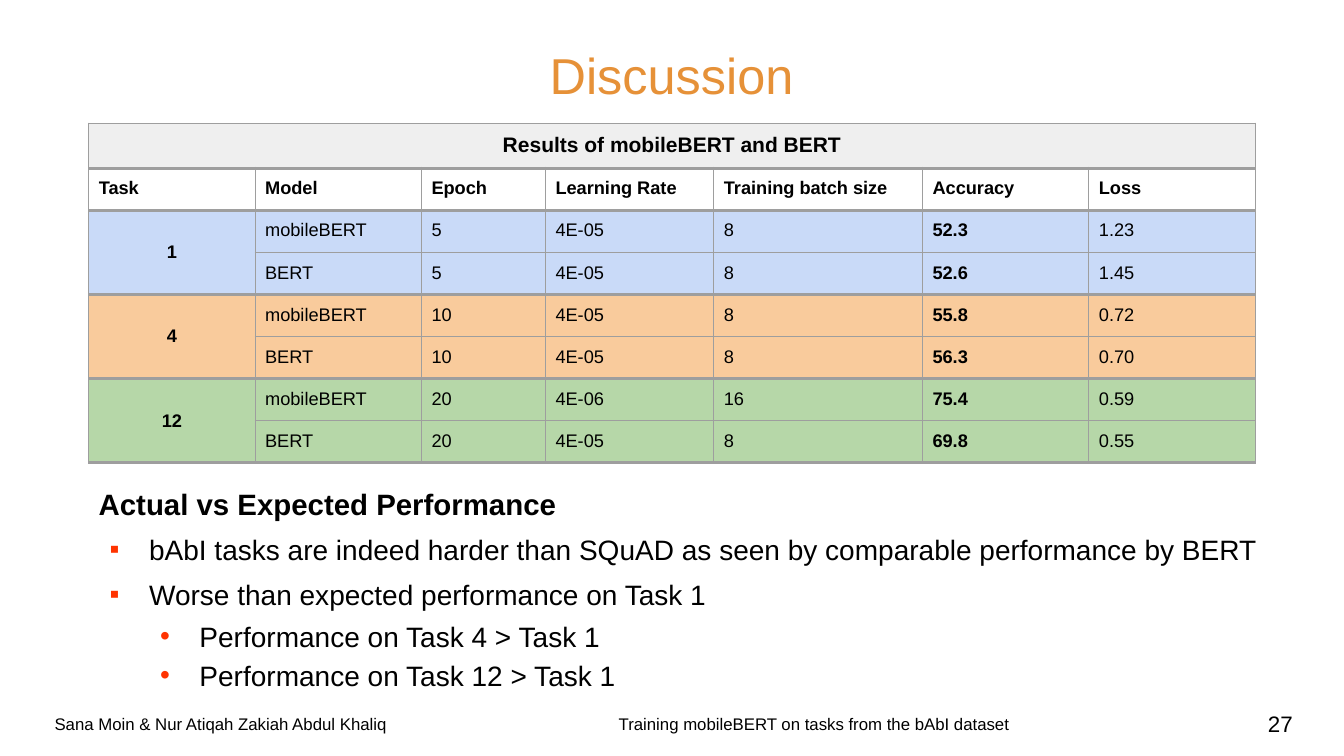
from lxml import etree
from pptx import Presentation
from pptx.dml.color import RGBColor
from pptx.enum.text import MSO_ANCHOR, MSO_AUTO_SIZE, PP_ALIGN
from pptx.oxml.ns import qn
from pptx.util import Inches, Pt

LEFT, CENTER, RIGHT = PP_ALIGN.LEFT, PP_ALIGN.CENTER, PP_ALIGN.RIGHT
TOP, MIDDLE, BOTTOM = MSO_ANCHOR.TOP, MSO_ANCHOR.MIDDLE, MSO_ANCHOR.BOTTOM
GROW = MSO_AUTO_SIZE.SHAPE_TO_FIT_TEXT

COL_WIDTHS = [1.65, 1.65, 1.23, 1.67, 2.07, 1.65, 1.65]
ROW_HEIGHTS = [0.43] + [0.4] * 7
# Widths of the horizontal rules, from above the first row to below the last
RULES = [0.75, 3, 3, 0.75, 2.25, 0.75, 2.25, 0.75, 2.25]
HEADERS = ["Task", "Model", "Epoch", "Learning Rate", "Training batch size", "Accuracy", "Loss"]
TASKS = [
    ("1", "C9DAF8", [["mobileBERT", "5", "4E-05", "8", "52.3", "1.23"],
                     ["BERT", "5", "4E-05", "8", "52.6", "1.45"]]),
    ("4", "F9CB9C", [["mobileBERT", "10", "4E-05", "8", "55.8", "0.72"],
                     ["BERT", "10", "4E-05", "8", "56.3", "0.70"]]),
    ("12", "B6D7A8", [["mobileBERT", "20", "4E-06", "16", "75.4", "0.59"],
                      ["BERT", "20", "4E-05", "8", "69.8", "0.55"]]),
]
ACCURACY = HEADERS.index("Accuracy")


def color(value):
    return RGBColor.from_string(value)


def add_text(p, text, size=13, bold=False, fill="000000", align=LEFT, font="Arial"):
    p.alignment = align
    r = p.add_run()
    r.text = text
    r.font.name, r.font.size, r.font.bold = font, Pt(size), bold
    r.font.color.rgb = color(fill)


class SlideBuilder:
    border = "9E9E9E"
    bullet_color = "FF3300"

    def __init__(self, s):
        self.s = s

    def frame(self, x, y, w, h, anchor=MIDDLE, inset=0.05):
        tb = self.s.shapes.add_textbox(Inches(x), Inches(y), Inches(w), Inches(h))
        tf = tb.text_frame
        tf.word_wrap = True
        tf.vertical_anchor = anchor
        tf.margin_left = tf.margin_right = Inches(0.1)
        tf.margin_top = tf.margin_bottom = Inches(inset)
        return tf

    def label(self, text, *box, anchor=MIDDLE, **fmt):
        add_text(self.frame(*box, anchor=anchor).paragraphs[0], text, **fmt)

    def bullet(self, p, char, level):
        p.level = level
        pPr = p._p.get_or_add_pPr()
        pPr.set("marL", str(Inches(0.5 * (level + 1))))
        pPr.set("indent", str(Inches(-0.39)))
        clr = etree.SubElement(pPr, qn("a:buClr"))
        etree.SubElement(clr, qn("a:srgbClr"), val=self.bullet_color)
        etree.SubElement(pPr, qn("a:buFont"), typeface="Arial")
        etree.SubElement(pPr, qn("a:buChar"), char=char)

    def outline(self, heading, items, *box):
        tf = self.frame(*box, anchor=TOP, inset=0.1)
        tf.auto_size = GROW
        p = tf.paragraphs[0]
        p.space_before = Pt(8)
        add_text(p, heading, size=21, bold=True)
        for text, char, level, before in items:
            p = tf.add_paragraph()
            p.space_before = Pt(before)
            self.bullet(p, char, level)
            add_text(p, text, size=20)

    def table(self, x, y, widths, heights):
        shape = self.s.shapes.add_table(len(heights), len(widths), Inches(x), Inches(y),
                                        Inches(sum(widths)), Inches(sum(heights)))
        table = shape.table
        table.first_row = table.horz_banding = False
        for col, width in zip(table.columns, widths):
            col.width = Inches(width)
        for row, height in zip(table.rows, heights):
            row.height = Inches(height)
        return table

    def cell(self, cell, top, bottom, fill=None, text=None, anchor=TOP, **fmt):
        tcPr = cell._tc.get_or_add_tcPr()
        for side, width in zip("LRTB", (0.75, 0.75, top, bottom)):
            ln = etree.SubElement(tcPr, qn("a:ln" + side), w=str(Pt(width)))
            solid = etree.SubElement(ln, qn("a:solidFill"))
            etree.SubElement(solid, qn("a:srgbClr"), val=self.border)
        if fill:
            cell.fill.solid()
            cell.fill.fore_color.rgb = color(fill)
        else:
            cell.fill.background()
        cell.margin_left = cell.margin_right = Inches(0.1)
        cell.margin_top = cell.margin_bottom = Inches(0.1)
        cell.vertical_anchor = anchor
        if text:
            add_text(cell.text_frame.paragraphs[0], text, **fmt)

    def results(self, x, y):
        table = self.table(x, y, COL_WIDTHS, ROW_HEIGHTS)
        # Caption and column headers
        table.cell(0, 0).merge(table.cell(0, len(HEADERS) - 1))
        for c, header in enumerate(HEADERS):
            caption = "Results of mobileBERT and BERT" if c == 0 else None
            self.cell(table.cell(0, c), *RULES[0:2], fill="EFEFEF", text=caption,
                      size=15, bold=True, align=CENTER)
            self.cell(table.cell(1, c), *RULES[1:3], text=header, bold=True)
        # Two models per task
        for i, (task, fill, models) in enumerate(TASKS):
            first = 2 + 2 * i
            table.cell(first, 0).merge(table.cell(first + 1, 0))
            for r, values in enumerate(models, first):
                self.cell(table.cell(r, 0), RULES[first], RULES[first + 2], fill,
                          task if r == first else None, MIDDLE, bold=True, align=CENTER)
                for c, value in enumerate(values, 1):
                    self.cell(table.cell(r, c), RULES[r], RULES[r + 1], fill, value,
                              bold=c == ACCURACY)


def main():
    prs = Presentation()
    prs.slide_width, prs.slide_height = Inches(13.33), Inches(7.5)
    slide = SlideBuilder(prs.slides.add_slide(prs.slide_layouts[6]))

    # Title
    slide.label("Discussion", 0.52, 0.17, 12.28, 0.92, anchor=BOTTOM,
                size=36, fill="E69138", align=CENTER)

    # Findings
    slide.outline("Actual vs Expected Performance", [
        ("bAbI tasks are indeed harder than SQuAD as seen by comparable performance by BERT",
         "▪", 0, 8),
        ("Worse than expected performance on Task 1", "▪", 0, 8),
        ("Performance on Task 4 > Task 1", "•", 1, 6),
        ("Performance on Task 12 > Task 1", "•", 1, 4),
    ], 0.88, 4.72, 11.81, 3.06)

    # Results table
    slide.results(0.88, 1.22)

    # Footer
    for text, x, w, size, align in [
        ("Sana Moin & Nur Atiqah Zakiah Abdul Khaliq", 0.42, 3.54, 12, CENTER),
        ("Training mobileBERT on tasks from the bAbI dataset", 4.17, 7.81, 12, CENTER),
        ("27", 12.19, 0.73, 16, RIGHT),
    ]:
        slide.label(text, x, 6.92, w, 0.52, size=size, align=align)

    prs.save("out.pptx")


if __name__ == "__main__":
    main()
